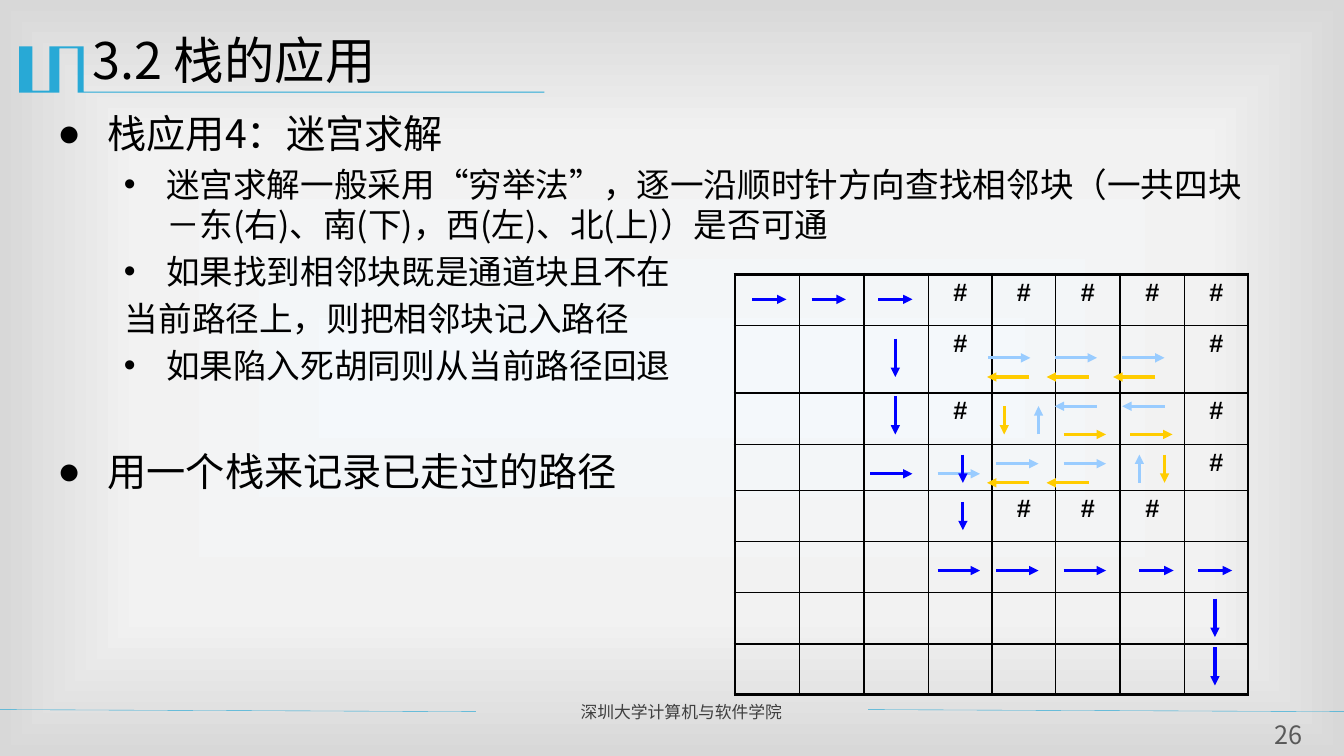
"""Build the maze-solving slide of the stack applications chapter."""
import pptx
import pptx.dml.color
import pptx.enum.shapes
import pptx.enum.text
import pptx.oxml.ns
import pptx.util
from lxml import etree

Inches = pptx.util.Inches
Pt = pptx.util.Pt
qn = pptx.oxml.ns.qn
ALIGN = pptx.enum.text.PP_ALIGN
ANCHOR = pptx.enum.text.MSO_ANCHOR
CJK = "Noto Sans CJK SC"
ACCENT, BLUE, SKY, GOLD = "28A9D6", "0000FF", "99CCFF", "FFCC00"


def color(value):
    return pptx.dml.color.RGBColor.from_string(value)


def style(para, size, value, face=CJK):
    for span in para.runs:
        span.font.size = Pt(size)
        span.font.name = face
        span.font.color.rgb = color(value)
        etree.SubElement(span.font._element, qn("a:ea"), typeface=face)


deck = pptx.Presentation()
deck.slide_width, deck.slide_height = Inches(13.33), Inches(7.5)
page = deck.slides.add_slide(deck.slide_layouts[6])

page.background.fill.gradient()
gradient = page.element.find(".//" + qn("a:gradFill"))
for child in list(gradient):
    gradient.remove(child)
stops = etree.SubElement(gradient, qn("a:gsLst"))
for position, value in [(0, "F4F8FB"), (63, "F2F2F2"), (100, "D8D8D8")]:
    stop = etree.SubElement(stops, qn("a:gs"), pos=str(position * 1000))
    etree.SubElement(stop, qn("a:srgbClr"), val=value)
shade = etree.SubElement(gradient, qn("a:path"), {"path": "rect"})
etree.SubElement(shade, qn("a:fillToRect"), {side: "50000" for side in "ltrb"})

emblem_points = [
    (0.83, 0.46), (0.83, 0.91), (5.4, 0.91), (5.4, 0.92), (0.77, 0.92),
    (0.77, 0.48), (0.59, 0.48), (0.59, 0.92), (0.19, 0.92), (0.19, 0.46),
    (0.32, 0.46), (0.32, 0.9), (0.49, 0.9), (0.49, 0.46),
]
corners = [(Inches(x), Inches(y)) for x, y in emblem_points]
outline = page.shapes.build_freeform(*corners[0])
outline.add_line_segments(corners[1:], close=True)
emblem = outline.convert_to_shape()
emblem.shadow.inherit = False
emblem.fill.solid()
emblem.fill.fore_color.rgb = color(ACCENT)
emblem.line.fill.background()

labels = [
    ("深圳大学计算机与软件学院", (5.66, 6.91, 2.85, 0.3), 12, "3F3F3F", ALIGN.JUSTIFY, ANCHOR.TOP),
    ("3.2 栈的应用", (0.82, 0.24, 12, 0.87), 36, "000000", ALIGN.LEFT, ANCHOR.TOP),
    ("26", (12.48, 7.13, 0.59, 0.31), 18, "595959", ALIGN.CENTER, ANCHOR.MIDDLE),
]
for text, place, size, value, align, anchor in labels:
    box = page.shapes.add_textbox(*map(Inches, place))
    frame = box.text_frame
    frame.word_wrap = True
    frame.vertical_anchor = anchor
    frame.text = text
    frame.paragraphs[0].alignment = align
    style(frame.paragraphs[0], size, value)
    if anchor == ANCHOR.MIDDLE:
        frame.margin_left = frame.margin_right = frame.margin_top = frame.margin_bottom = 0

body_lines = [
    ("栈应用4：迷宫求解", 28, "●", 0.5, -0.5, 0),
    ("迷宫求解一般采用“穷举法”，逐一沿顺时针方向查找相邻块（一共四块－东(右)、南(下)，西(左)、北(上)）是否可通",
     24, "•", 1.08, -0.42, 4.8),
    ("如果找到相邻块既是通道块且不在", 24, "•", 1.08, -0.42, 4.8),
    ("当前路径上，则把相邻块记入路径", 24, None, 0.67, 0, 4.8),
    ("如果陷入死胡同则从当前路径回退", 24, "•", 1.08, -0.42, 4.8),
    ("用一个栈来记录已走过的路径", 28, "●", 0.5, -0.5, 44.5),
]
body = page.shapes.add_textbox(Inches(0.47), Inches(1.04), Inches(12.13), Inches(5.63))
body.text_frame.word_wrap = True
for index, (text, size, bullet, margin, indent, gap) in enumerate(body_lines):
    para = body.text_frame.add_paragraph() if index else body.text_frame.paragraphs[0]
    para.text = text
    para.space_before = Pt(gap)
    properties = para._p.get_or_add_pPr()
    properties.set("marL", str(Inches(margin)))
    properties.set("indent", str(Inches(indent)))
    if bullet:
        etree.SubElement(properties, qn("a:buFont"), typeface="Arial")
        etree.SubElement(properties, qn("a:buChar"), char=bullet)
    style(para, size, "000000")

maze = ["   #####", "   #   #", "   #   #", "       #", "    ### ", " " * 8, " " * 8, " " * 8]
widths = [0.64, 0.64, 0.64, 0.63, 0.63, 0.64, 0.64, 0.63]
heights = [0.51, 0.67, 0.51, 0.46, 0.5, 0.51, 0.51, 0.5]
grid_frame = page.shapes.add_table(8, 8, Inches(7.29), Inches(2.72), Inches(5.09), Inches(4.17))
grid = grid_frame.table
grid.first_row = grid.horz_banding = False
for column, width in zip(grid.columns, widths):
    column.width = Inches(width)
for row, height in zip(grid.rows, heights):
    row.height = Inches(height)
for r, marks in enumerate(maze):
    for c, mark in enumerate(marks):
        cell = grid.cell(r, c)
        cell.margin_left = cell.margin_right = cell.margin_bottom = 0
        cell.margin_top = Inches(0.04)
        if mark == "#":
            cell.text = mark
            para = cell.text_frame.paragraphs[0]
            para.alignment = ALIGN.CENTER
            style(para, 18, "000000", "Arial")
            para.runs[0].font.bold = True
        cell_properties = cell._tc.get_or_add_tcPr()
        for side, outer in [("L", c == 0), ("R", c == 7), ("T", r == 0), ("B", r == 7)]:
            width = Pt(2.25 if outer else 1)
            border = etree.SubElement(cell_properties, qn("a:ln" + side), w=str(width))
            paint = etree.SubElement(border, qn("a:solidFill"))
            etree.SubElement(paint, qn("a:srgbClr"), val="000000")
        cell.fill.background()

lines = [(ACCENT, 0.25, 4.72, 0.02, [(0, 7.04), (8.61, 7.04)])]
arrow_runs = [
    (SKY, 0.42, 0, [(9.3, 4.7), (9.88, 4.6), (10.55, 4.6), (9.8, 3.55), (10.46, 3.55), (11.13, 3.55)]),
    (SKY, -0.42, 0, [(11.55, 4.03), (10.88, 4.03)]),
    (SKY, 0, -0.28, [(11.3, 4.79), (10.3, 4.31)]),
    (GOLD, -0.42, 0, [(11.46, 3.74), (10.8, 3.74), (10.21, 3.74), (10.8, 4.79), (10.21, 4.79)]),
    (GOLD, 0, 0.28, [(9.96, 4.03), (11.55, 4.51)]),
    (GOLD, 0.42, 0, [(10.55, 4.31), (11.21, 4.31)]),
    (BLUE, 0.34, 0, [(7.46, 2.97), (8.05, 2.97), (8.71, 2.97), (11.3, 5.66), (11.88, 5.66)]),
    (BLUE, 0.42, 0, [(8.63, 4.7), (9.3, 5.66), (9.88, 5.66), (10.55, 5.66)]),
    (BLUE, 0, 0.38, [(8.88, 3.36), (8.88, 3.93), (12.05, 5.94), (12.05, 6.42)]),
    (BLUE, 0, 0.28, [(9.55, 4.51), (9.55, 4.98)]),
]
lines += [(value, 2.25, across, down, starts) for value, across, down, starts in arrow_runs]
for value, weight, across, down, starts in lines:
    for x, y in starts:
        line = page.shapes.add_connector(
            pptx.enum.shapes.MSO_CONNECTOR.STRAIGHT,
            Inches(x), Inches(y), Inches(x + across), Inches(y + down))
        line.line.color.rgb = color(value)
        line.line.width = Pt(weight)
        if value != ACCENT:
            etree.SubElement(line.line._ln, qn("a:tailEnd"), type="triangle")
        etree.SubElement(line._element.spPr, qn("a:effectLst"))

deck.save("out.pptx")
